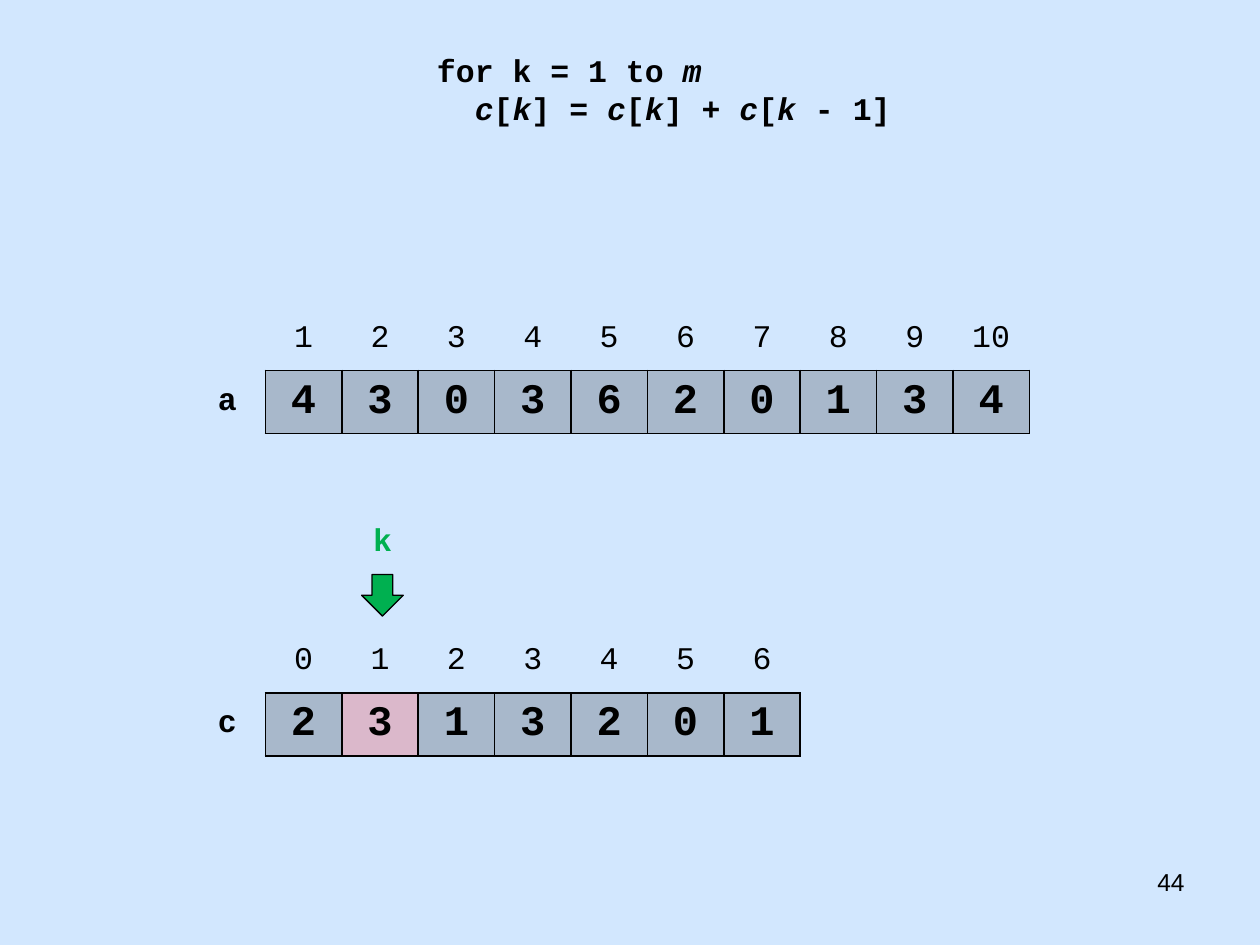
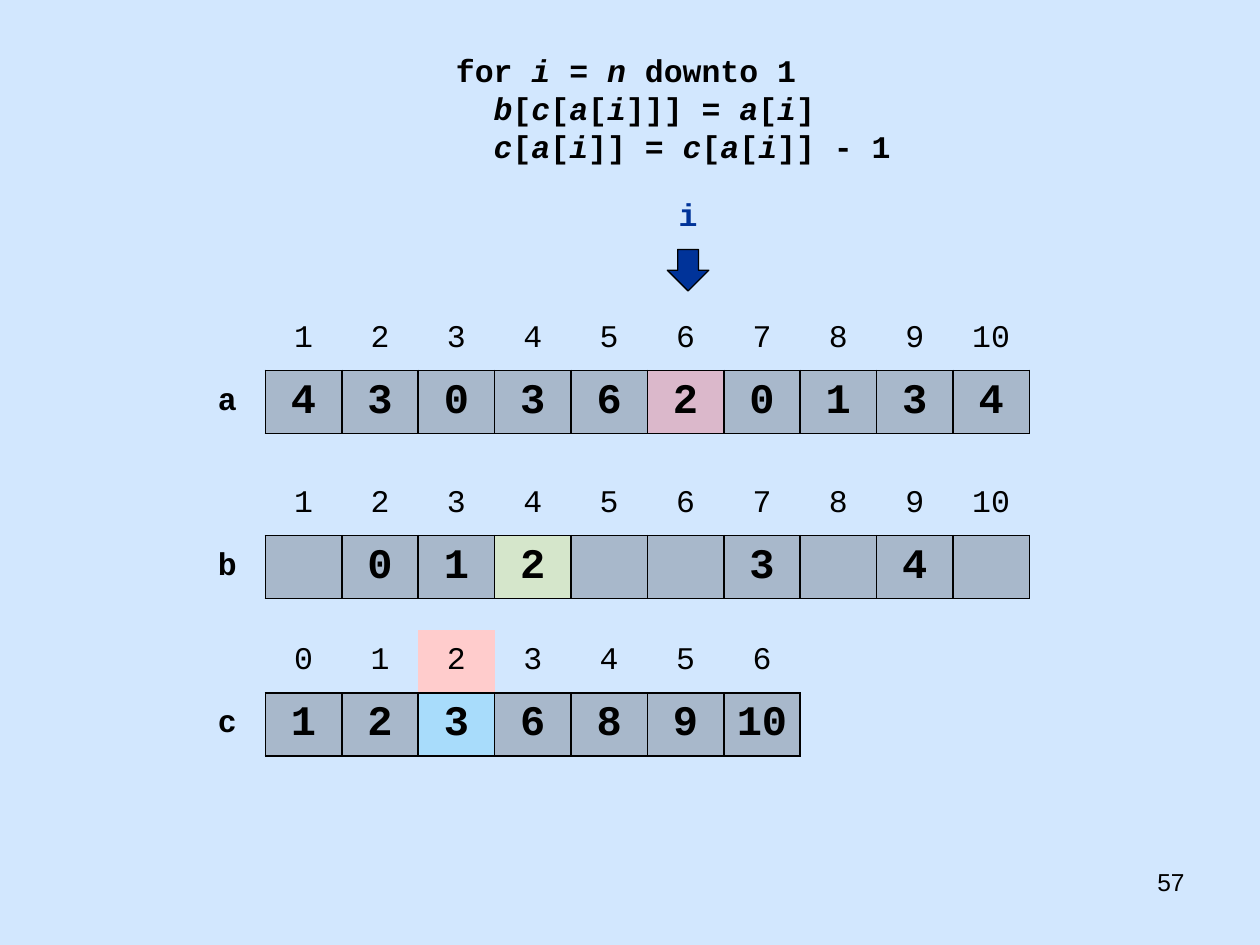
from pptx import Presentation
from pptx.dml.color import RGBColor
from pptx.enum.shapes import MSO_SHAPE
from pptx.enum.text import MSO_ANCHOR, PP_ALIGN
from pptx.oxml import parse_xml
from pptx.oxml.ns import nsdecls
from pptx.util import Inches, Pt

LEFT, CENTER, RIGHT = PP_ALIGN.LEFT, PP_ALIGN.CENTER, PP_ALIGN.RIGHT
MIDDLE = MSO_ANCHOR.MIDDLE
DOWN_ARROW = MSO_SHAPE.DOWN_ARROW
PLAIN_TABLE = "{2D5ABB26-0587-4C30-8999-92F81FD0307C}"

BLACK, SKY, GREEN, NAVY = "000000", "D2E7FE", "00B050", "003399"
RED, YELLOW, BLUE, PINK = "FF0000", "E5E500", "00B0F0", "FFCCCC"
CODE_FONT, NUMBER_FONT = "Courier New", "Arial"

GRID_LEFT = 1.5
CELL = 6.67 / 11
ROW = 0.5
TOP_A, TOP_B, TOP_C = 2.44, 3.75, 5
A_VALUES = [4, 3, 0, 3, 6, 2, 0, 1, 3, 4]

COUNT_CODE = ["for k = 1 to *m*",
              "  *c*[*k*] = *c*[*k*] + *c*[*k* - 1]"]
PLACE_CODE = [" for *i* = *n* downto 1",
              "   *b*[*c*[*a*[*i*]]] = *a*[*i*]",
              "   *c*[*a*[*i*]] = *c*[*a*[*i*]] - 1"]


def color(code):
    """Turn a hex string into a colour."""
    return RGBColor.from_string(code)


def write(para, text, size=18, font=CODE_FONT, hue=BLACK, bold=False, align=LEFT):
    """Write text in a paragraph, with italics between asterisks."""
    para.alignment = align
    for order, part in enumerate(text.split("*")):
        if part:
            span = para.add_run()
            span.text = part
            span.font.size, span.font.name = Pt(size), font
            span.font.bold, span.font.italic = bold, order % 2 == 1
            span.font.color.rgb = color(hue)


def add_text(page, lines, left, top, width, height, **style):
    """Add a text box with one paragraph per line."""
    box = page.shapes.add_textbox(*map(Inches, (left, top, width, height)))
    frame = box.text_frame
    frame.word_wrap = True
    for order, line in enumerate(lines):
        para = frame.add_paragraph() if order else frame.paragraphs[0]
        write(para, line, **style)


def add_borders(cell, sides):
    """Draw thin black lines on the given sides of a cell."""
    properties = cell._tc.get_or_add_tcPr()
    for side in sides:
        properties.append(parse_xml(
            f'<a:ln{side} {nsdecls("a")} w="12700"><a:solidFill>'
            f'<a:srgbClr val="{BLACK}"/></a:solidFill></a:ln{side}>'))


def fill_cell(cell, hue, opacity=100):
    """Fill a cell with a colour of the given opacity in percent."""
    cell.fill.solid()
    cell.fill.fore_color.rgb = color(hue)
    if opacity < 100:
        tint = cell._tc.tcPr.xpath("./a:solidFill/a:srgbClr")[0]
        tint.append(parse_xml(f'<a:alpha {nsdecls("a")} val="{opacity * 1000}"/>'))


def add_array(page, name, values, top, first=1, marks=None, marked_index=None):
    """Add an array with indices above its values; marks maps index to colour."""
    columns = len(values) + 1
    frame = page.shapes.add_table(2, columns, Inches(GRID_LEFT), Inches(top),
                                  Inches(CELL * columns), Inches(2 * ROW))
    frame.element.xpath(".//a:tableStyleId")[0].text = PLAIN_TABLE
    table = frame.table
    table.first_row = table.horz_banding = False
    for column in table.columns:
        column.width = Inches(CELL)
    for cell in table.iter_cells():
        cell.vertical_anchor = MIDDLE

    label = table.cell(1, 0)
    write(label.text_frame.paragraphs[0], name, bold=True, align=CENTER)
    add_borders(label, "R")
    for column, value in enumerate(values, start=1):
        index = first + column - 1
        header, slot = table.cell(0, column), table.cell(1, column)
        write(header.text_frame.paragraphs[0], str(index), align=CENTER)
        if index == marked_index:
            fill_cell(header, PINK)
        write(slot.text_frame.paragraphs[0], str(value),
              size=24, bold=True, align=CENTER)
        add_borders(slot, "LRTB")
        fill_cell(slot, (marks or {}).get(index, BLACK), opacity=20)


def add_pointer(page, name, column, top, hue):
    """Add a named arrow that points down at a column of the grid."""
    center = GRID_LEFT + (column + 0.5) * CELL + 0.02
    width, side = 2.08, 0.33
    add_text(page, [name], center - width / 2, top, width, 0.4,
             hue=hue, bold=True, align=CENTER)
    arrow = page.shapes.add_shape(DOWN_ARROW, Inches(center - side / 2),
                                  Inches(top + 0.48), Inches(side), Inches(side))
    arrow.shadow.inherit = False
    arrow.fill.solid()
    arrow.fill.fore_color.rgb = color(hue)
    arrow.line.color.rgb = color(BLACK)
    arrow.line.width = Pt(0.75)


def add_page(deck, number, code):
    """Add a slide with its number, its code and the input array's place."""
    page = deck.slides.add_slide(deck.slide_layouts[6])
    add_text(page, [str(number)], 7.17, 6.83, 2.33, 0.52,
             size=14, font=NUMBER_FONT, align=RIGHT)
    add_text(page, code, 3.37, 0.36, 4, 0.1 + 0.3 * len(code), bold=True)
    return page


def main():
    """Build the counting sort slides."""
    deck = Presentation()
    deck.slide_width, deck.slide_height = Inches(10), Inches(7.5)
    background = deck.slide_master.background.fill
    background.solid()
    background.fore_color.rgb = color(SKY)

    counting = add_page(deck, 44, COUNT_CODE)
    add_array(counting, "a", A_VALUES, TOP_A)
    add_array(counting, "c", [2, 3, 1, 3, 2, 0, 1], TOP_C, first=0, marks={1: RED})
    add_pointer(counting, "k", 2, 4.08, GREEN)

    placing = add_page(deck, 57, PLACE_CODE)
    add_array(placing, "a", A_VALUES, TOP_A, marks={6: RED})
    add_array(placing, "b", ["", 0, 1, 2, "", "", 3, "", 4, ""], TOP_B,
              marks={4: YELLOW})
    add_array(placing, "c", [1, 2, 3, 6, 8, 9, 10], TOP_C, first=0,
              marks={2: BLUE}, marked_index=2)
    add_pointer(placing, "i", 6, 1.5, NAVY)

    deck.save("out.pptx")


if __name__ == "__main__":
    main()
